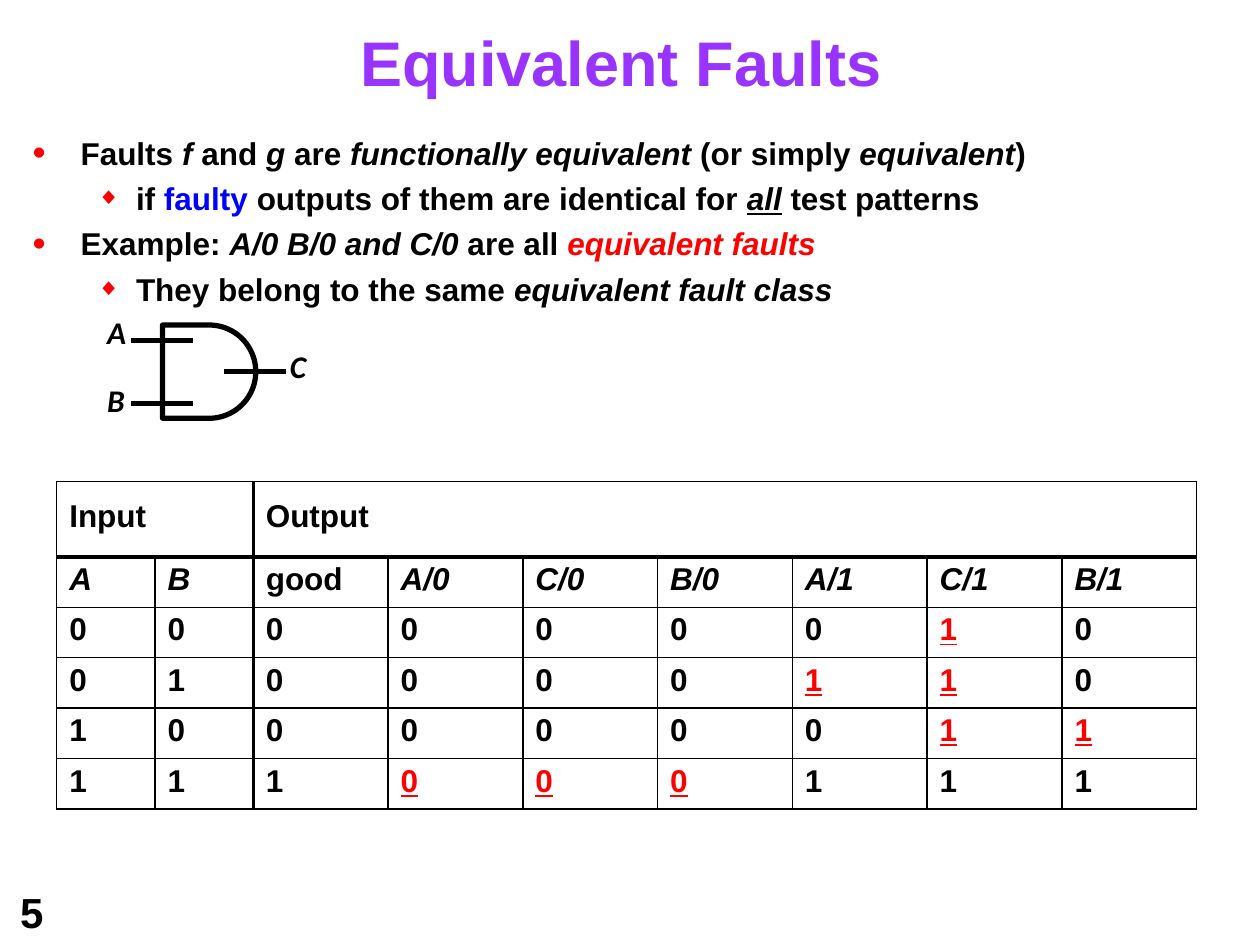
import dataclasses

import lxml.etree
import pptx
import pptx.dml.color
import pptx.enum.dml
import pptx.enum.shapes
import pptx.oxml.ns
import pptx.util

Inches = pptx.util.Inches
Pt = pptx.util.Pt


@dataclasses.dataclass(frozen=True)
class Theme:
    """Colours, fonts and sizes of the slide."""
    black: str = "000000"
    purple: str = "9933FF"
    red: str = "FF0000"
    blue: str = "0000FF"
    font: str = "Arial"
    label_font: str = "Calibri"
    title_size: float = 36
    body_size: float = 18
    number_size: float = 24
    thin: float = 1
    thick: float = 2.25
    wire: float = 3


THEME = Theme()
ITALIC = {"italic": True}
BULLETS = [
    (0, [("Faults ", {}), ("f ", ITALIC), ("and ", {}), ("g ", ITALIC), ("are ", {}),
         ("functionally equivalent ", ITALIC), ("(or simply ", {}), ("equivalent", ITALIC),
         (")", {})]),
    (1, [("if ", {}), ("faulty ", {"color": THEME.blue}),
         ("outputs of them are identical for ", {}),
         ("all", {"italic": True, "underline": True}), (" test patterns", {})]),
    (0, [("Example: ", {}), ("A/0 B/0 and C/0 ", ITALIC), ("are all ", {}),
         ("equivalent faults", {"italic": True, "color": THEME.red})]),
    (1, [("They belong to the same ", {}), ("equivalent fault class", ITALIC)]),
]
BULLET_STYLES = [("•", 119, 0.39, -0.38), ("◆", 75, 0.83, -0.31)]
GATE_LABELS = [("A", 0.6, 21.3, 3.7), ("C", 2.05, 19.3, 0), ("B", 0.6, 19.6, 0)]
HEADINGS = ["A", "B", "good", "A/0", "C/0", "B/0", "A/1", "C/1", "B/1"]
TRUTH_ROWS = ["000000010", "010000110", "100000011", "111000111"]
GOOD = HEADINGS.index("good")


def add_element(parent, tag, **attributes):
    """Append a DrawingML element to a parent."""
    return lxml.etree.SubElement(parent, pptx.oxml.ns.qn(f"a:{tag}"), attributes)


def add_run(paragraph, text, *, size=THEME.body_size, color=THEME.black,
            font=THEME.font, italic=False, underline=False):
    """Append a bold run with the given format."""
    run = paragraph.add_run()
    run.text = text
    run.font.name = font
    run.font.size = Pt(size)
    run.font.bold = True
    run.font.italic = italic
    run.font.underline = underline
    run.font.color.rgb = pptx.dml.color.RGBColor.from_string(color)


def set_indent(paragraph, left, first=0):
    """Set the left margin and first-line indent in inches."""
    properties = paragraph._p.get_or_add_pPr()
    properties.set("marL", str(Inches(left)))
    properties.set("indent", str(Inches(first)))


def add_bullet(paragraph, level):
    """Give a paragraph the bullet of its level."""
    character, percent, left, first = BULLET_STYLES[level]
    paragraph.level = level
    set_indent(paragraph, left, first)
    properties = paragraph._p.get_or_add_pPr()
    add_element(add_element(properties, "buClr"), "srgbClr", val=THEME.red)
    add_element(properties, "buSzPct", val=str(percent * 1000))
    add_element(properties, "buFont", typeface=THEME.font)
    add_element(properties, "buChar", char=character)


def add_text_box(slide, left, top, width, height, top_margin=0):
    """Add a wrapping text box and return its text frame."""
    shape = slide.shapes.add_textbox(Inches(left), Inches(top), Inches(width), Inches(height))
    frame = shape.text_frame
    frame.word_wrap = True
    frame.margin_left = frame.margin_right = frame.margin_bottom = 0
    frame.margin_top = Inches(top_margin)
    return frame


def set_line(line):
    """Draw a line in the wire style."""
    line.color.rgb = pptx.dml.color.RGBColor.from_string(THEME.black)
    line.width = Pt(THEME.wire)


def add_wire(slide, left, top):
    """Add a horizontal gate wire."""
    wire = slide.shapes.add_connector(
        pptx.enum.shapes.MSO_CONNECTOR.STRAIGHT,
        Inches(left), Inches(top), Inches(left + 0.49), Inches(top))
    set_line(wire.line)
    add_element(wire._element.spPr, "effectLst")


def add_gate(slide):
    """Draw the AND gate with its three wires."""
    for left, top in [(1.04, 2.7), (1.04, 3.2), (1.78, 2.95)]:
        add_wire(slide, left, top)
    gate = slide.shapes.add_shape(
        pptx.enum.shapes.MSO_SHAPE.FLOWCHART_DELAY,
        Inches(1.29), Inches(2.58), Inches(0.74), Inches(0.74))
    gate.shadow.inherit = False
    gate.fill.background()
    set_line(gate.line)


def add_body(slide):
    """Add the bullets and the gate labels below them."""
    frame = add_text_box(slide, 0.25, 0.99, 7.9, 2.39, 0.07)
    for index, (level, runs) in enumerate(BULLETS):
        paragraph = frame.add_paragraph() if index else frame.paragraphs[0]
        add_bullet(paragraph, level)
        paragraph.space_before = Pt(4.3 if index else 0)
        for text, style in runs:
            add_run(paragraph, text, **style)
    for text, left, spacing, before in GATE_LABELS:
        paragraph = frame.add_paragraph()
        set_indent(paragraph, left)
        paragraph.line_spacing = Pt(spacing)
        paragraph.space_before = Pt(before)
        add_run(paragraph, text, font=THEME.label_font, italic=True)


def set_borders(cell, thick_sides):
    """Draw the four cell borders, some of them thick."""
    properties = cell._tc.get_or_add_tcPr()
    for side in "LRTB":
        width = THEME.thick if side in thick_sides else THEME.thin
        border = add_element(properties, f"ln{side}", w=str(Pt(width)))
        add_element(add_element(border, "solidFill"), "srgbClr", val=THEME.black)


def fill_cell(cell, text, thick_sides, top_margin=0.04, **style):
    """Write and frame one table cell."""
    set_borders(cell, thick_sides)
    cell.fill.background()
    cell.margin_left = Inches(0.1)
    cell.margin_right = cell.margin_bottom = 0
    cell.margin_top = Inches(top_margin)
    add_run(cell.text_frame.paragraphs[0], text, **style)


def add_truth_table(slide):
    """Add the fault table, marking outputs that differ from the good one."""
    row_count, column_count = len(TRUTH_ROWS) + 2, len(HEADINGS)
    table = slide.shapes.add_table(
        row_count, column_count, Inches(0.45), Inches(3.82), Inches(9.05), Inches(2.6)).table
    table.first_row = table.horz_banding = False
    for index, column in enumerate(table.columns):
        column.width = Inches(0.78 if index < GOOD else 1.07)
    for index, row in enumerate(table.rows):
        row.height = Inches(0.4 if index else 0.6)
    table.cell(0, 0).merge(table.cell(0, GOOD - 1))
    table.cell(0, GOOD).merge(table.cell(0, column_count - 1))
    fill_cell(table.cell(0, 0), "Input", "RB", 0.14)
    fill_cell(table.cell(0, GOOD), "Output", "LB", 0.14)
    divider = {GOOD - 1: "R", GOOD: "L"}
    for column, heading in enumerate(HEADINGS):
        side = divider.get(column, "")
        fill_cell(table.cell(1, column), heading, side + "T", italic=column != GOOD)
        for row, values in enumerate(TRUTH_ROWS, start=2):
            wrong = column > GOOD and values[column] != values[GOOD]
            fill_cell(table.cell(row, column), values[column], side, underline=wrong,
                      color=THEME.red if wrong else THEME.black)


def main():
    """Build and save the slide."""
    presentation = pptx.Presentation()
    presentation.slide_width, presentation.slide_height = Inches(10), Inches(7.5)
    slide = presentation.slides.add_slide(presentation.slide_layouts[6])
    title = add_text_box(slide, 2.85, 0.18, 4.17, 0.63, 0.01).paragraphs[0]
    set_indent(title, 0.01)
    add_run(title, "Equivalent Faults", size=THEME.title_size, color=THEME.purple)
    add_gate(slide)
    add_body(slide)
    number = add_text_box(slide, 0.12, 7.05, 0.27, 0.4).paragraphs[0]
    set_indent(number, 0.04)
    number.line_spacing = Pt(27.6)
    add_run(number, "5", size=THEME.number_size)
    add_truth_table(slide)
    presentation.save("out.pptx")


if __name__ == "__main__":
    main()
